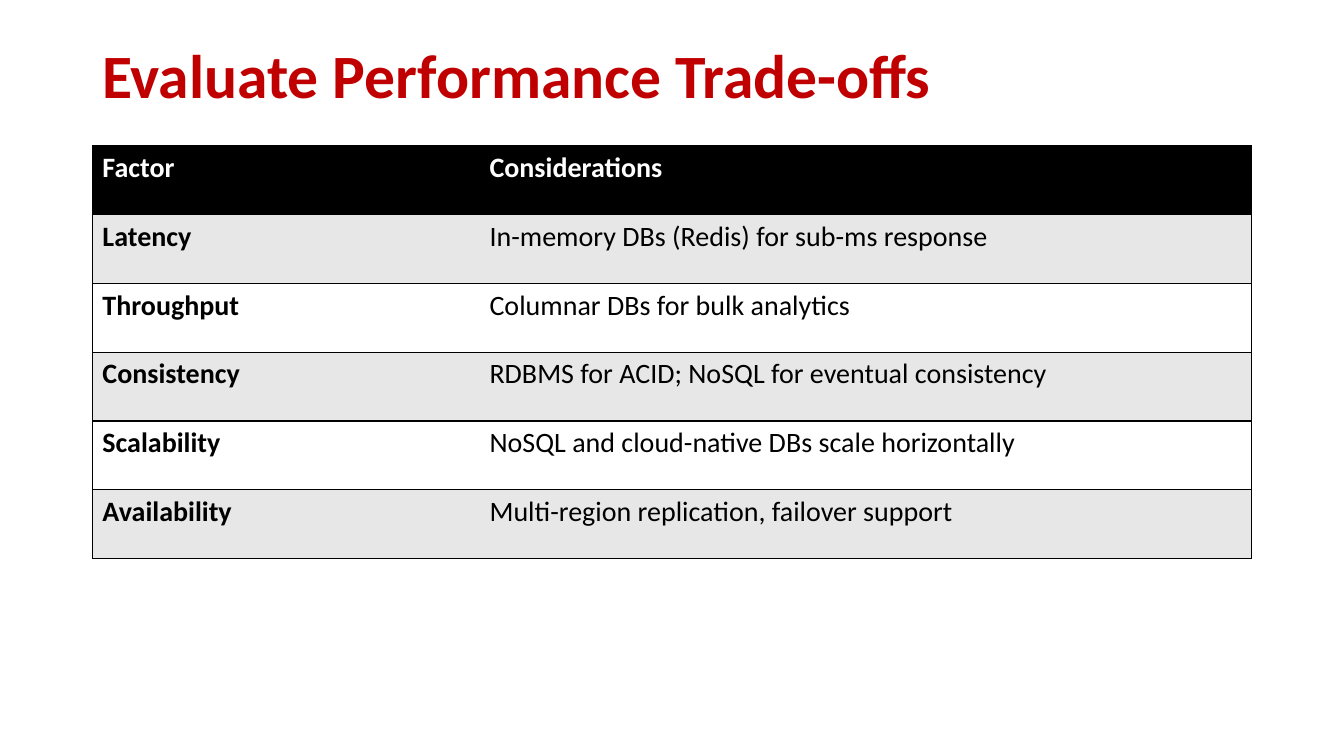
from dataclasses import dataclass

from lxml.etree import SubElement
from pptx import Presentation
from pptx.dml.color import RGBColor
from pptx.enum.text import MSO_ANCHOR
from pptx.oxml.ns import qn
from pptx.util import Pt


@dataclass(frozen=True)
class Theme:
    """Colours, font and sizes of the slide."""

    font: str = "Calibri"
    title_size: int = 44
    table_size: int = 20
    border_width: int = 1
    title: str = "C00000"
    dark: str = "000000"
    light: str = "FFFFFF"
    band: str = "E7E7E7"


class SlideBuilder:
    """Adds styled elements to one slide."""

    def __init__(self, slide, theme):
        self.slide = slide
        self.theme = theme

    def style(self, paragraph, size, color, bold):
        """Set the font of a paragraph."""
        font = paragraph.font
        font.name = self.theme.font
        font.size = Pt(size)
        font.bold = bold
        font.color.rgb = RGBColor.from_string(color)

    def title(self, text, left, top, width, height):
        """Add the slide title."""
        shape = self.slide.shapes.add_textbox(Pt(left), Pt(top), Pt(width), Pt(height))
        frame = shape.text_frame
        frame.word_wrap = True
        frame.vertical_anchor = MSO_ANCHOR.TOP
        paragraph = frame.paragraphs[0]
        paragraph.text = text
        paragraph.line_spacing = 0.9
        self.style(paragraph, self.theme.title_size, self.theme.title, True)

    def borders(self, cell, visible):
        """Draw the named cell sides and clear the others."""
        properties = cell._tc.get_or_add_tcPr()
        for side in "LRTB":
            line = SubElement(properties, qn(f"a:ln{side}"), w=str(Pt(self.theme.border_width)))
            if side in visible:
                fill = SubElement(line, qn("a:solidFill"))
                SubElement(fill, qn("a:srgbClr"), val=self.theme.dark)
            else:
                SubElement(line, qn("a:noFill"))

    def cell(self, cell, text, fill, color, bold, visible):
        """Fill, border and write one table cell."""
        self.borders(cell, visible)
        cell.fill.solid()
        cell.fill.fore_color.rgb = RGBColor.from_string(fill)
        paragraph = cell.text_frame.paragraphs[0]
        paragraph.text = text
        self.style(paragraph, self.theme.table_size, color, bold)

    def table(self, rows, left, top, widths, row_height):
        """Add a two-column table with a dark header and banded rows."""
        theme = self.theme
        table = self.slide.shapes.add_table(
            len(rows), len(widths), Pt(left), Pt(top), Pt(sum(widths)), Pt(row_height * len(rows))
        ).table
        table.first_row = table.horz_banding = False
        for column, width in zip(table.columns, widths):
            column.width = Pt(width)
        for row_index, texts in enumerate(rows):
            table.rows[row_index].height = Pt(row_height)
            header = row_index == 0
            fill = theme.dark if header else theme.band if row_index % 2 else theme.light
            color = theme.light if header else theme.dark
            for column_index, text in enumerate(texts):
                first = column_index == 0
                self.cell(table.cell(row_index, column_index), text, fill, color,
                          header or first, "LTB" if first else "RTB")


FACTORS = [
    ("Factor", "Considerations"),
    ("Latency", "In-memory DBs (Redis) for sub-ms response"),
    ("Throughput", "Columnar DBs for bulk analytics"),
    ("Consistency", "RDBMS for ACID; NoSQL for eventual consistency"),
    ("Scalability", "NoSQL and cloud-native DBs scale horizontally"),
    ("Availability", "Multi-region replication, failover support"),
]


def main():
    """Build and save the slide."""
    presentation = Presentation()
    presentation.slide_width = Pt(960)
    presentation.slide_height = Pt(540)
    slide = presentation.slides.add_slide(presentation.slide_layouts[6])
    builder = SlideBuilder(slide, Theme())
    builder.title("Evaluate Performance Trade-offs", 66, 28.8, 828, 104.4)
    builder.table(FACTORS, 66, 104, (276.5, 551.5), 49.2)
    presentation.save("out.pptx")


if __name__ == "__main__":
    main()
